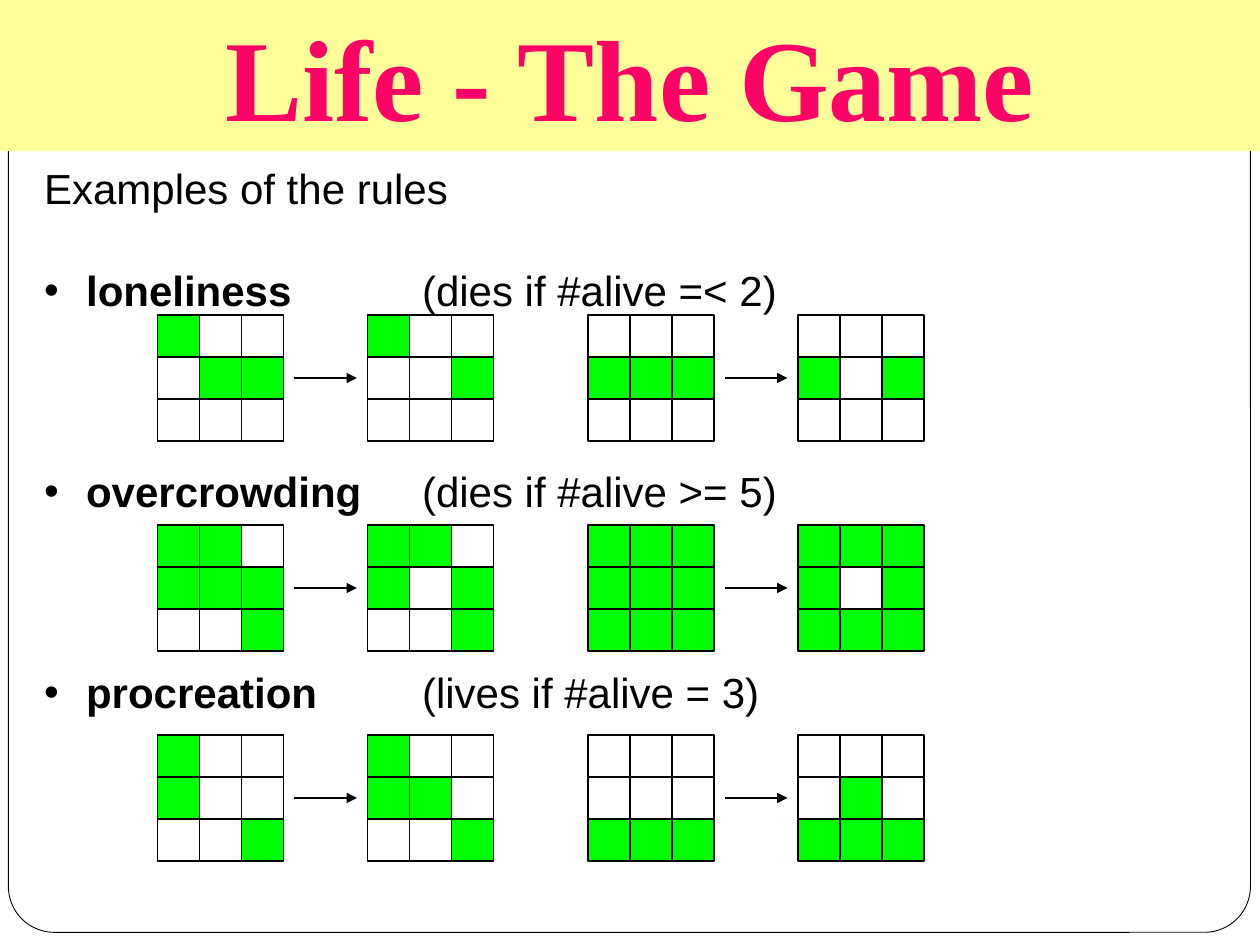
from dataclasses import dataclass

from lxml.etree import SubElement
from pptx import Presentation
from pptx.dml.color import RGBColor
from pptx.enum.shapes import MSO_CONNECTOR, MSO_SHAPE
from pptx.enum.text import MSO_ANCHOR, MSO_AUTO_SIZE, PP_ALIGN
from pptx.oxml.ns import qn
from pptx.util import Emu, Pt

# Content: each rule has two before/after pairs; "#" is a live cell
TITLE = "Life - The Game"
HEADING = "Examples of the rules"
RULES = [
    ("loneliness", "(dies if #alive =< 2)",
     [(("#..", ".##", "..."), ("#..", "..#", "...")),
      (("...", "###", "..."), ("...", "#.#", "..."))]),
    ("overcrowding", "(dies if #alive >= 5)",
     [(("##.", "###", "..#"), ("##.", "#.#", "..#")),
      (("###", "###", "###"), ("###", "#.#", "###"))]),
    ("procreation", "(lives if #alive = 3)",
     [(("#..", "#..", "..#"), ("#..", "##.", "..#")),
      (("...", "...", "###"), ("...", ".#.", "###"))]),
]


@dataclass(frozen=True)
class Theme:
    ink: RGBColor = RGBColor(0, 0, 0)
    paper: RGBColor = RGBColor(255, 255, 255)
    alive: RGBColor = RGBColor(0, 255, 0)
    band: RGBColor = RGBColor(255, 255, 153)
    title: RGBColor = RGBColor(255, 0, 102)
    title_font: str = "Times New Roman"
    body_font: str = "Arial"
    title_size: int = 66
    body_size: int = 24


THEME = Theme()

# Layout in px, 120 to the inch
WIDTH, HEIGHT = 1200, 900
CELL = 40
GRID = 3 * CELL
FIRST_LEFT, FIRST_TOP = 150, 300
PAIR_STEP, AFTER_STEP, RULE_STEP = 410, 200, 200
ARROW_GAP = 10
BULLET_INDENT, DETAIL_TAB = 40, 360
HEADING_GAP, RULE_GAP = Pt(29.5), Pt(86)


def px(length):
    return Emu(length * 7620)


def place(shape, left, top, width, height):
    shape.left, shape.top = px(left), px(top)
    shape.width, shape.height = px(width), px(height)


def style_font(font, name, size, color, bold=False):
    font.name, font.size, font.bold = name, Pt(size), bold
    font.color.rgb = color


def add_outlined(shapes, kind, box, fill, line_width):
    shape = shapes.add_shape(kind, *map(px, box))
    shape.shadow.inherit = False
    if fill is None:
        shape.fill.background()
    else:
        shape.fill.solid()
        shape.fill.fore_color.rgb = fill
    shape.line.color.rgb = THEME.ink
    shape.line.width = Pt(line_width)
    return shape


def add_grid(shapes, rows, left, top):
    for row, cells in enumerate(rows):
        for column, cell in enumerate(cells):
            box = (left + column * CELL, top + row * CELL, CELL, CELL)
            fill = THEME.alive if cell == "#" else None
            add_outlined(shapes, MSO_SHAPE.RECTANGLE, box, fill, 1)


def add_arrow(shapes, start, end, middle):
    arrow = shapes.add_connector(MSO_CONNECTOR.STRAIGHT, px(start), px(middle),
                                 px(end), px(middle))
    arrow.line.color.rgb = THEME.ink
    arrow.line.width = Pt(1)
    SubElement(arrow.line._get_or_add_ln(), qn("a:tailEnd"), type="triangle")
    SubElement(arrow._element.spPr, qn("a:effectLst"))


def add_body(body):
    place(body, 30, 149, 1000, 540)
    frame = body.text_frame
    frame.auto_size = MSO_AUTO_SIZE.NONE
    frame.word_wrap = True
    frame.vertical_anchor = MSO_ANCHOR.TOP
    frame.text = "\n".join([HEADING] + [name for name, _, _ in RULES])
    for index, para in enumerate(frame.paragraphs):
        properties = para._p.get_or_add_pPr()
        indent = px(BULLET_INDENT) if index else 0
        properties.set("marL", str(indent))
        properties.set("indent", str(-indent))
        if index:
            SubElement(properties, qn("a:buChar"), char="•")
            tabs = SubElement(properties, qn("a:tabLst"))
            SubElement(tabs, qn("a:tab"), pos=str(px(DETAIL_TAB)), algn="l")
            para.add_run().text = "\t" + RULES[index - 1][1]
        else:
            SubElement(properties, qn("a:buNone"))
        para.space_before = (Pt(0), HEADING_GAP, RULE_GAP, RULE_GAP)[index]
        for position, span in enumerate(para.runs):
            style_font(span.font, THEME.body_font, THEME.body_size, THEME.ink,
                       bold=index > 0 and position == 0)


def add_title(title):
    place(title, 0, 0, WIDTH, 144)
    title.fill.solid()
    title.fill.fore_color.rgb = THEME.band
    frame = title.text_frame
    frame.text = TITLE
    frame.auto_size = MSO_AUTO_SIZE.NONE
    frame.vertical_anchor = MSO_ANCHOR.TOP
    frame.margin_top = frame.margin_bottom = px(6)
    para = frame.paragraphs[0]
    para.alignment = PP_ALIGN.CENTER
    style_font(para.runs[0].font, THEME.title_font, THEME.title_size, THEME.title, bold=True)


def main():
    deck = Presentation()
    deck.slide_width, deck.slide_height = px(WIDTH), px(HEIGHT)
    page = deck.slides.add_slide(deck.slide_layouts[1])
    title, body = page.placeholders[0], page.placeholders[1]

    # Rounded frame, behind the text and the title band
    frame = add_outlined(page.shapes, MSO_SHAPE.ROUNDED_RECTANGLE,
                         (8, 10, 1183, 878), THEME.paper, 0.5)
    frame.adjustments[0] = 0.05
    title._element.addprevious(frame._element)

    add_body(body)

    # Before and after grids, a row per rule
    for row, (_, _, pairs) in enumerate(RULES):
        top = FIRST_TOP + row * RULE_STEP
        for column, (before, after) in enumerate(pairs):
            left = FIRST_LEFT + column * PAIR_STEP
            shapes = page.shapes.add_group_shape().shapes
            add_grid(shapes, before, left, top)
            add_grid(shapes, after, left + AFTER_STEP, top)
            add_arrow(shapes, left + GRID + ARROW_GAP, left + AFTER_STEP - ARROW_GAP,
                      top + GRID // 2)

    # Title band
    add_title(title)

    deck.save("out.pptx")


if __name__ == "__main__":
    main()
